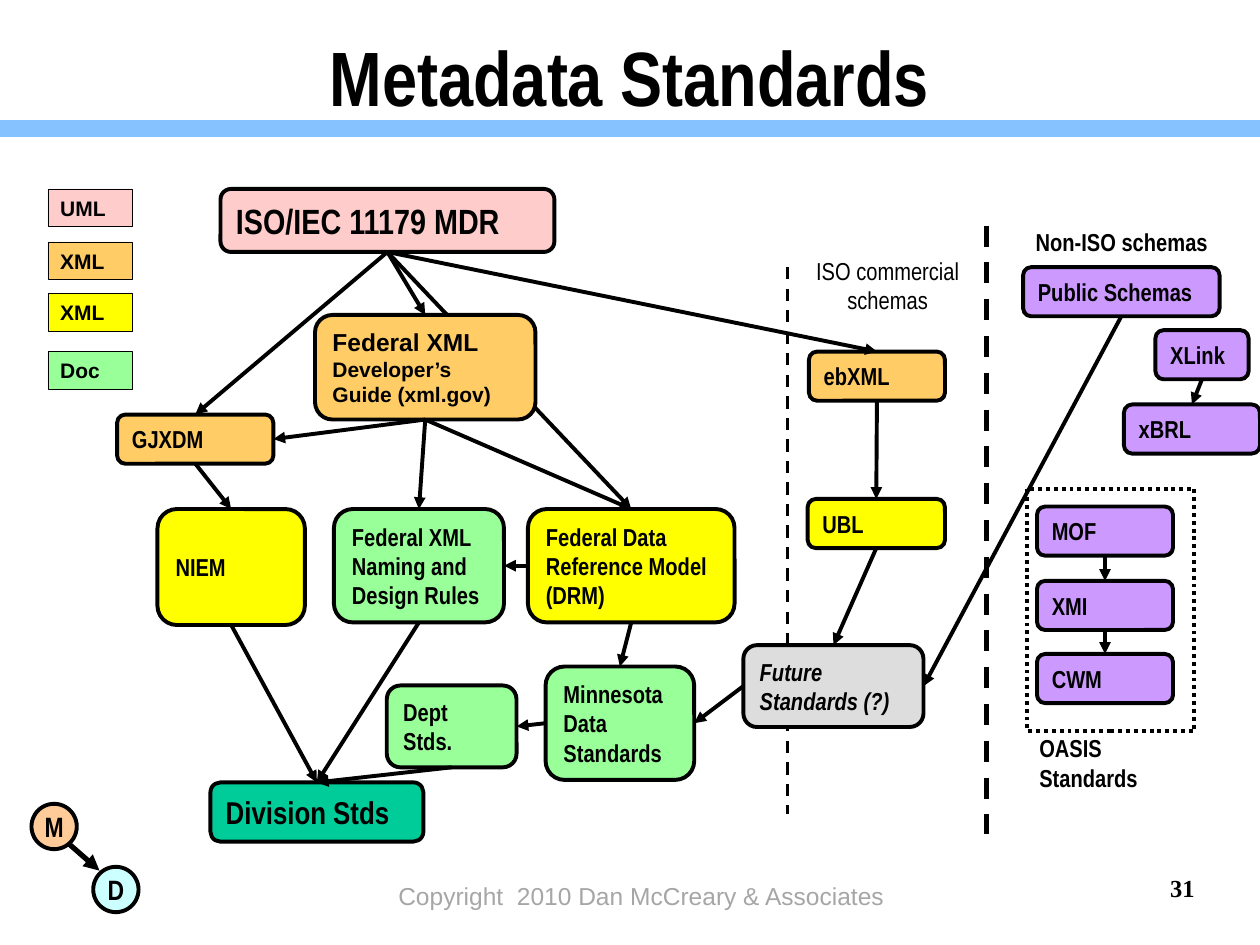
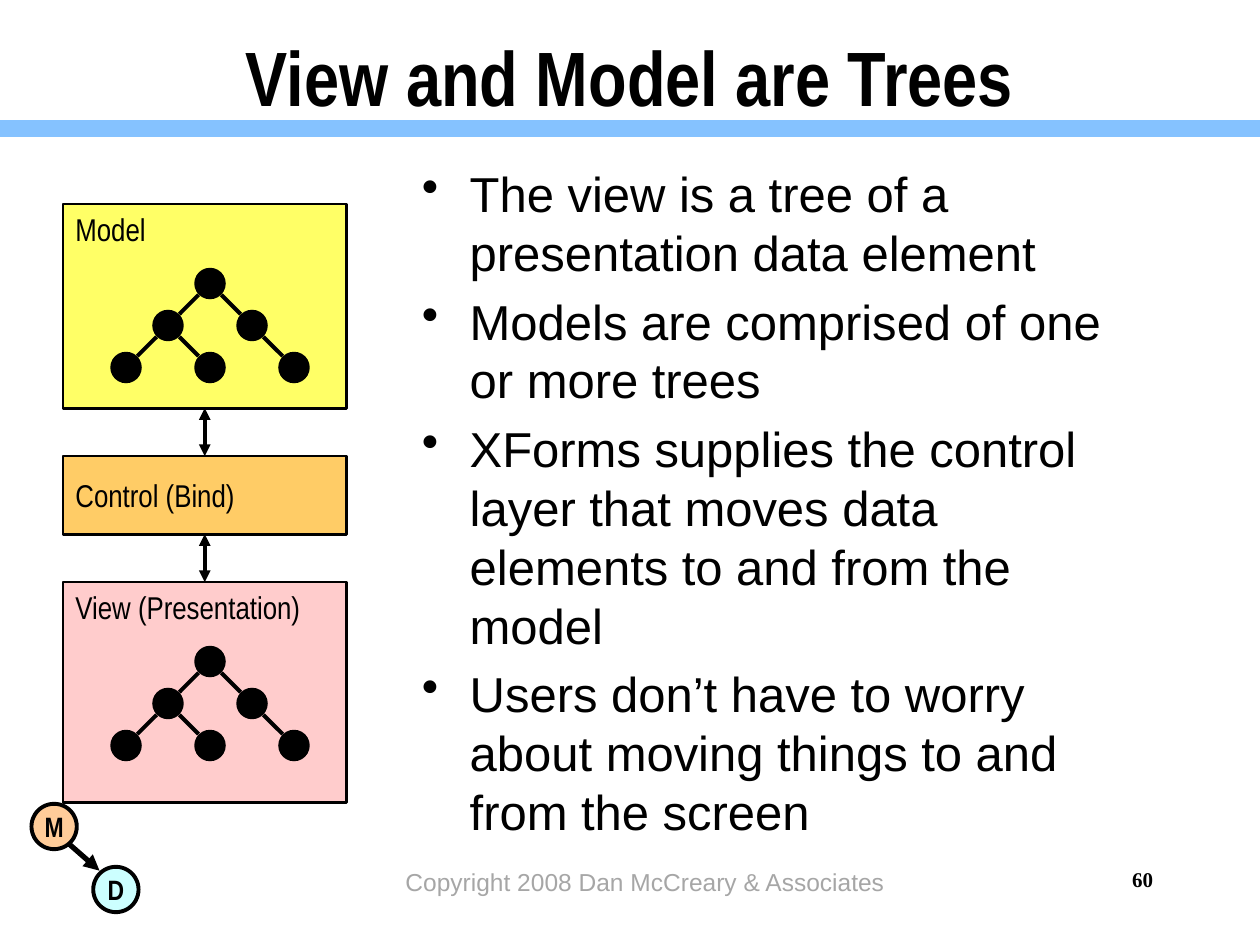
from lxml import etree
from pptx import Presentation
from pptx import util as u
from pptx.dml.color import RGBColor
from pptx.enum import dml, shapes, text
from pptx.oxml import ns


class Theme:
    black, grey, band = "000000", "A6A6A6", "85C2FF"
    pink, orange, yellow, green = "FFCCCC", "FFCC66", "FFFF00", "99FF99"
    purple, teal, silver, lemon = "CC99FF", "00CC99", "DDDDDD", "FFFF66"
    peach, ice = "FFCC99", "CCFFFF"
    narrow, sans, serif = "Arial Narrow", "Arial", "Times New Roman"
    title, body, panel, badge, label, key = 44, 28, 18, 16, 14, 12
    bold_line, thin_line, hairline = 2.25, 1.5, 0.25


TOP, LEFT, BOTTOM, RIGHT = range(4)

STANDARDS = {
    "title": "Metadata Standards",
    "footer": ("Copyright  2010 Dan McCreary & Associates", (2.8, 6.94, 4.58, 0.5)),
    "number": ("31", (9, 6.88, 0.58, 0.5), 14),
}
TREES = {
    "title": "View and Model are Trees",
    "footer": ("Copyright 2008 Dan McCreary & Associates", (2.83, 6.83, 4.58, 0.5)),
    "number": ("60", (7.17, 6.83, 2.08, 0.5), 12),
}

LEGEND = [("UML", Theme.pink, 1.5), ("XML", Theme.orange, 1.92),
          ("XML", Theme.yellow, 2.33), ("Doc", Theme.green, 2.79)]

BOXES = {
    "mdr": (["ISO/IEC 11179 MDR"], (1.75, 1.5, 2.65, 0.5), Theme.pink, {"size": 20}),
    "gjxdm": (["GJXDM"], (0.93, 3.29, 1.24, 0.39), Theme.orange, {}),
    "niem": (["NIEM"], (1.25, 4.04, 1.17, 0.92), Theme.yellow, {}),
    "ebxml": (["ebXML"], (6.42, 2.79, 1.08, 0.39), Theme.orange, {}),
    "public": (["Public Schemas"], (8.12, 2.12, 1.56, 0.39), Theme.purple, {}),
    "xbrl": (["xBRL"], (8.92, 3.21, 1.08, 0.39), Theme.purple, {}),
    "minnesota": (["Minnesota", "Data", "Standards"], (4.33, 5.29, 1.18, 0.9), Theme.green, {}),
    "rules": (["Federal XML", "Naming and", "Design Rules"], (2.65, 4.04, 1.35, 0.9), Theme.green, {}),
    "drm": (["Federal Data", "Reference Model", "(DRM)"], (4.19, 4.04, 1.64, 0.9), Theme.yellow, {}),
    "guide": (["Federal XML", "Developer’s", "Guide (xml.gov)"], (2.5, 2.5, 1.75, 0.83),
              Theme.orange, {"size": (14, 12, 12), "font": Theme.sans}),
    "mof": (["MOF"], (8.23, 4.02, 1.08, 0.39), Theme.purple, {}),
    "xmi": (["XMI"], (8.23, 4.61, 1.08, 0.39), Theme.purple, {}),
    "cwm": (["CWM"], (8.23, 5.19, 1.08, 0.39), Theme.purple, {}),
    "dept": (["Dept Stds."], (3.07, 5.44, 1.03, 0.65), Theme.green, {}),
    "division": (["Division Stds"], (1.67, 6.21, 1.69, 0.47), Theme.teal, {"size": 18}),
    "xlink": (["XLink"], (9.17, 2.62, 0.74, 0.39), Theme.purple, {}),
    "future": (["Future Standards (?)"], (5.9, 5.12, 1.43, 0.65), Theme.silver, {"italic": True}),
    "ubl": (["UBL"], (6.41, 3.96, 1.09, 0.39), Theme.yellow, {}),
}

FLOWS = [
    ("mdr", BOTTOM, "gjxdm", TOP), ("mdr", BOTTOM, "guide", TOP),
    ("mdr", BOTTOM, "drm", TOP), ("mdr", BOTTOM, "ebxml", TOP),
    ("guide", BOTTOM, "gjxdm", RIGHT), ("guide", BOTTOM, "rules", TOP),
    ("guide", BOTTOM, "drm", TOP), ("gjxdm", BOTTOM, "niem", TOP),
    ("drm", LEFT, "rules", RIGHT), ("drm", BOTTOM, "minnesota", TOP),
    ("niem", BOTTOM, "division", TOP), ("rules", BOTTOM, "division", TOP),
    ("dept", BOTTOM, "division", TOP), ("minnesota", LEFT, "dept", RIGHT),
    ("future", LEFT, "minnesota", RIGHT), ("ebxml", BOTTOM, "ubl", TOP),
    ("ubl", BOTTOM, "future", TOP), ("public", BOTTOM, "future", RIGHT),
    ("xlink", BOTTOM, "xbrl", TOP), ("mof", BOTTOM, "xmi", TOP),
    ("xmi", BOTTOM, "cwm", TOP),
]

DIVIDERS = [((7.83, 1.79), (7.83, 6.62), 3), ((6.25, 2.12), (6.25, 6.46), 1.75)]
CAPTIONS = [
    (["Non-ISO schemas"], (8.12, 1.75, 1.75, 0.33), {"bold": True}),
    (["OASIS Standards"], (8.15, 5.77, 1.52, 0.33), {"bold": True, "wrap": False}),
    (["ISO commercial", "schemas"], (6.17, 1.98, 1.75, 0.57), {"align": "CENTER"}),
]
OASIS_FRAME = (8.15, 3.88, 1.33, 1.92)

PANELS = [("Model", 1.62, 1.62, Theme.lemon, "TOP"),
          ("Control (Bind)", 3.62, 0.62, Theme.orange, "MIDDLE"),
          ("View (Presentation)", 4.62, 1.75, Theme.pink, "TOP")]
TREE_NODES = [(2, 0), (1, 1), (3, 1), (0, 2), (2, 2), (4, 2)]
TREE_BRANCHES = [(0, 1), (0, 2), (1, 3), (1, 4), (2, 5)]
TREE_TOPS = [2.25, 5.25]
POINTS = [
    "The view is a tree of a presentation data element",
    "Models are comprised of one or more trees",
    "XForms supplies the control layer that moves data elements to and from the model",
    "Users don’t have to worry about moving things to and from the screen",
]


def rgb(color):
    return RGBColor.from_string(color)


def inches(values):
    return [u.Inches(value) for value in values]


def write(holder, lines, size=Theme.label, font=Theme.narrow, color=Theme.black, bold=False,
          italic=False, align="LEFT", anchor="TOP", wrap=True, bullet=False, margin=None):
    frame = holder.text_frame
    frame.word_wrap = wrap
    frame.vertical_anchor = getattr(text.MSO_ANCHOR, anchor)
    if margin is not None:
        frame.margin_left = frame.margin_right = u.Inches(margin)
    sizes = size if isinstance(size, tuple) else (size,) * len(lines)
    for index, (line, points) in enumerate(zip(lines, sizes)):
        paragraph = frame.add_paragraph() if index else frame.paragraphs[0]
        paragraph.alignment = getattr(text.PP_ALIGN, align)
        if bullet:
            if index:
                paragraph.space_before = u.Pt(points * 0.2)
            props = paragraph._p.get_or_add_pPr()
            props.set("marL", str(u.Inches(0.38)))
            props.set("indent", str(u.Inches(-0.38)))
            etree.SubElement(props, ns.qn("a:buChar"), char="•")
        run = paragraph.add_run()
        run.text = line
        run.font.size, run.font.name = u.Pt(points), font
        run.font.bold, run.font.italic = bold, italic
        run.font.color.rgb = rgb(color)


def textbox(slide, lines, at, **style):
    write(slide.shapes.add_textbox(*inches(at)), lines, **style)


def shape(slide, kind, at, fill=None, width=Theme.bold_line):
    made = slide.shapes.add_shape(getattr(shapes.MSO_SHAPE, kind), *inches(at))
    made.shadow.inherit = False
    if fill:
        made.fill.solid()
        made.fill.fore_color.rgb = rgb(fill)
    else:
        made.fill.background()
    if width:
        made.line.color.rgb = rgb(Theme.black)
        made.line.width = u.Pt(width)
    else:
        made.line.fill.background()
    return made


def line(slide, start=(0, 0), end=(0, 0), width=Theme.bold_line, color=Theme.black,
         heads=(), dash=None, joins=None):
    made = slide.shapes.add_connector(shapes.MSO_CONNECTOR.STRAIGHT, *inches(start + end))
    if joins:
        made.begin_connect(*joins[0])
        made.end_connect(*joins[1])
    made.line.width = u.Pt(width)
    made.line.color.rgb = rgb(color)
    if dash:
        made.line.dash_style = dash
    for head in heads:
        etree.SubElement(made.line._get_or_add_ln(), ns.qn("a:" + head), type="triangle")
    etree.SubElement(made._element.spPr, ns.qn("a:effectLst"))


def base_slide(deck, content):
    slide = deck.slides.add_slide(deck.slide_layouts[6])
    line(slide, (0, 1.02), (10, 1.02), 10, Theme.band)
    textbox(slide, [content["title"]], (0.75, 0.12, 8.5, 0.96), size=Theme.title,
            bold=True, align="CENTER", anchor="MIDDLE")
    footer, place = content["footer"]
    textbox(slide, [footer], place, font=Theme.sans, color=Theme.grey, align="CENTER")
    number, place, size = content["number"]
    textbox(slide, [number], place, size=size, font=Theme.serif, bold=True, align="RIGHT")
    return slide


def badges(slide):
    for letter, left, top, fill in [("M", 0.25, 6.38, Theme.peach), ("D", 0.74, 6.88, Theme.ice)]:
        write(shape(slide, "OVAL", (left, top, 0.36, 0.36), fill), [letter], size=Theme.badge,
              bold=True, align="CENTER", anchor="MIDDLE", wrap=False, margin=0)
    line(slide, (0.55, 6.7), (0.79, 6.91), 3, heads=["tailEnd"])


def standards_slide(deck):
    slide = base_slide(deck, STANDARDS)
    badges(slide)
    for name, fill, top in LEGEND:
        write(shape(slide, "RECTANGLE", (0.38, top, 0.67, 0.3), fill, Theme.hairline), [name],
              size=Theme.key, font=Theme.sans, bold=True, anchor="MIDDLE")
    for start, end, width in DIVIDERS:
        line(slide, start, end, width, dash=dml.MSO_LINE.DASH)
    placed = {}
    for name, (lines, at, fill, style) in BOXES.items():
        placed[name] = shape(slide, "ROUNDED_RECTANGLE", at, fill)
        write(placed[name], lines, bold=True, anchor="MIDDLE", **style)
        for source, out, target, into in FLOWS:
            if name in (source, target) and source in placed and target in placed:
                line(slide, heads=["tailEnd"],
                     joins=((placed[source], out), (placed[target], into)))
    frame = shape(slide, "RECTANGLE", OASIS_FRAME)
    frame.line.dash_style = dml.MSO_LINE.ROUND_DOT
    for lines, at, style in CAPTIONS:
        textbox(slide, lines, at, **style)


def tree(slide, top, left=1.0, pitch=1 / 3, size=0.25, inset=0.09):
    centers = [(left + column * pitch, top + row * pitch) for column, row in TREE_NODES]
    for x, y in centers:
        shape(slide, "OVAL", (x - size / 2, y - size / 2, size, size), Theme.black, 0)
    for parent, child in TREE_BRANCHES:
        (x1, y1), (x2, y2) = centers[parent], centers[child]
        step = inset if x2 > x1 else -inset
        line(slide, (x1 + step, y1 + inset), (x2 - step, y2 - inset))


def trees_slide(deck):
    slide = base_slide(deck, TREES)
    textbox(slide, POINTS, (3.25, 1.25, 5.9, 5.5), size=Theme.body, font=Theme.sans, bullet=True)
    panels = []
    for name, top, height, fill, anchor in PANELS:
        panel = shape(slide, "RECTANGLE", (0.5, top, 2.25, height), fill, Theme.thin_line)
        write(panel, [name], size=Theme.panel, anchor=anchor)
        panels.append(panel)
    for upper, lower in zip(panels, panels[1:]):
        line(slide, heads=["headEnd", "tailEnd"], joins=((upper, BOTTOM), (lower, TOP)))
    for top in TREE_TOPS:
        tree(slide, top)
    badges(slide)


def main():
    deck = Presentation()
    deck.slide_width, deck.slide_height = inches((10, 7.5))
    standards_slide(deck)
    trees_slide(deck)
    deck.save("out.pptx")


if __name__ == "__main__":
    main()
